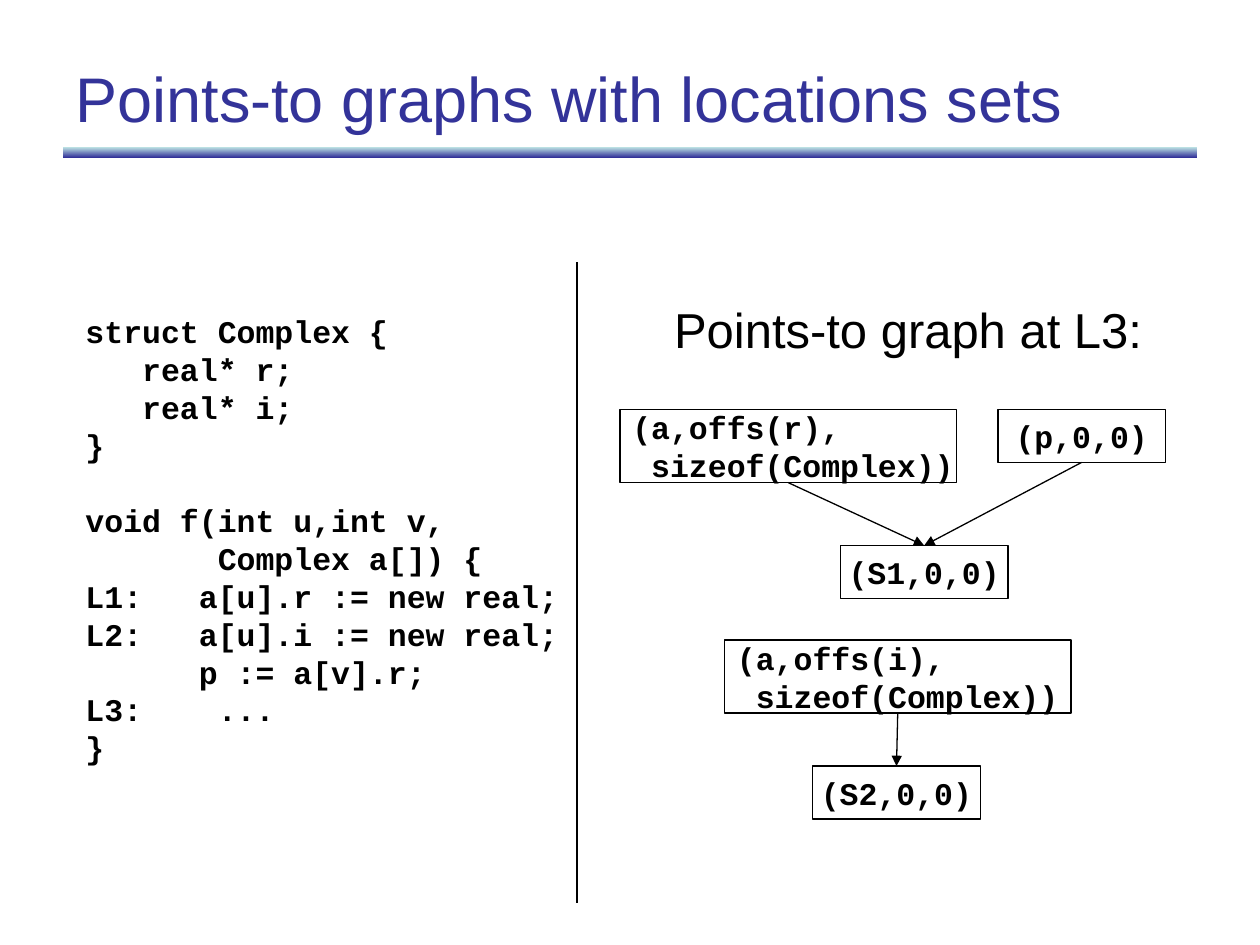
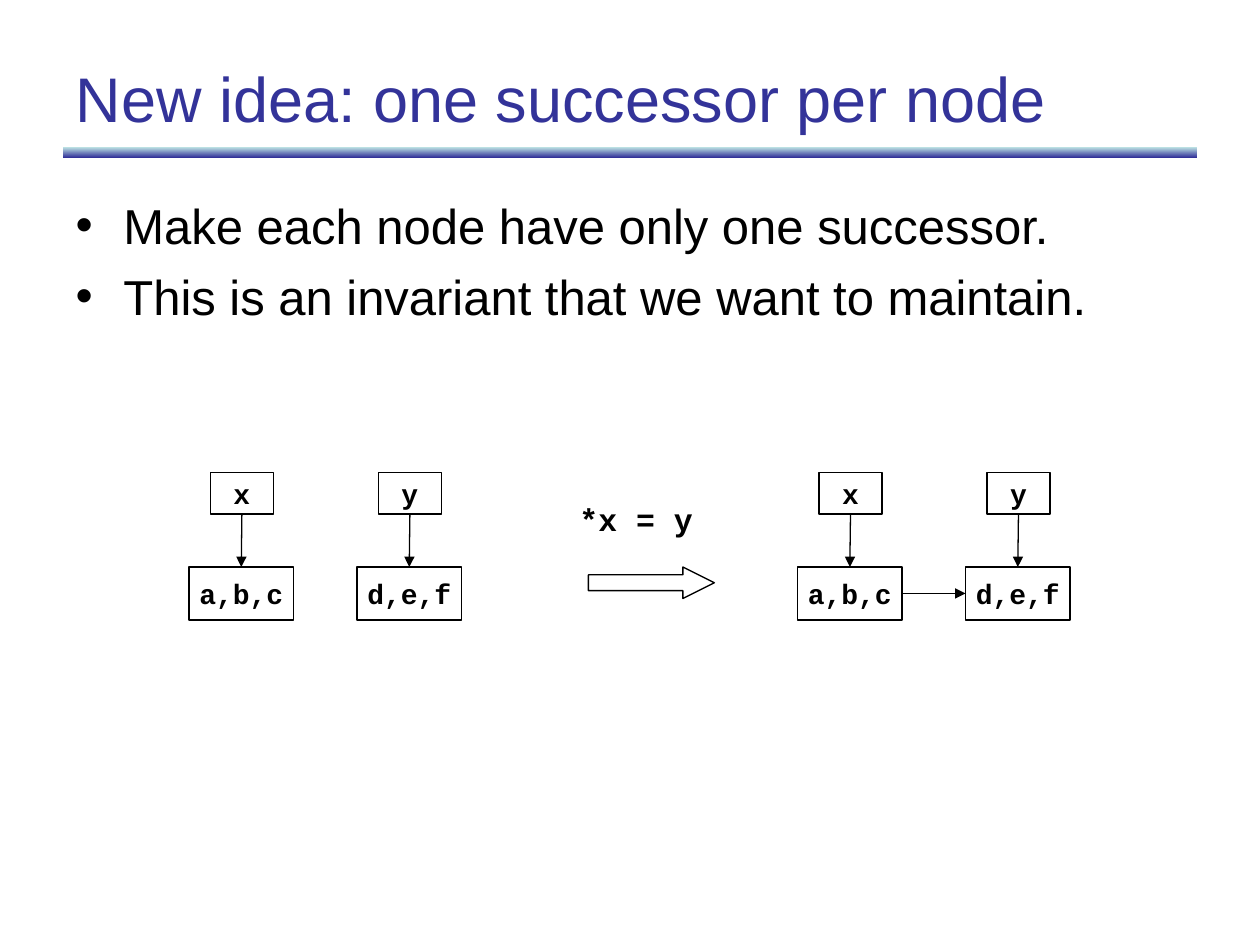
from lxml import etree
from pptx import Presentation
from pptx import util as u
from pptx.dml.color import RGBColor
from pptx.enum import shapes, text
from pptx.oxml.ns import qn

INK, TITLE, BAND_TOP = "000000", "333399", "BBE0E3"
SANS, MONO = "Arial", "Courier New"
CODE_SIZE = 18
CHAR = 0.15  # width of one code character in inches
LINE_HEIGHT = 1.2
TOP, LEFT, BOTTOM, RIGHT = range(4)

# (label, indent in characters, code, starts a new block)
CODE = [
    ("", 0, "struct Complex {", False),
    ("", 3, "real* r;", False),
    ("", 3, "real* i;", False),
    ("", 0, "}", False),
    ("", 0, "void f(int u,int v,", True),
    ("", 7, "Complex a[]) {", False),
    ("L1:", 6, "a[u].r := new real;", False),
    ("L2:", 6, "a[u].i := new real;", False),
    ("", 6, "p := a[v].r;", False),
    ("L3:", 7, "...", False),
    ("", 0, "}", False),
]


def rgb(value):
    return RGBColor.from_string(value)


def place(sp, left, top, width, height):
    sp.left, sp.top = u.Inches(left), u.Inches(top)
    sp.width, sp.height = u.Inches(width), u.Inches(height)


def indent(p, margin, first=0.0):
    pPr = p._p.get_or_add_pPr()
    pPr.set("marL", str(u.Inches(margin)))
    pPr.set("indent", str(u.Inches(first)))


def write(tf, lines, size=CODE_SIZE, font=MONO, color=INK, bold=True,
          align=text.PP_ALIGN.LEFT, before=0, wrap=False):
    """Fill a text frame with one paragraph per line and return the paragraphs."""
    tf.auto_size = text.MSO_AUTO_SIZE.NONE
    tf.word_wrap = wrap
    for i, line in enumerate(lines):
        p = tf.add_paragraph() if i else tf.paragraphs[0]
        p.alignment = align
        p.line_spacing = u.Pt(size * LINE_HEIGHT)
        p.space_before = u.Pt(before)
        r = p.add_run()
        r.text = line
        r.font.size, r.font.name, r.font.bold = u.Pt(size), font, bold
        r.font.color.rgb = rgb(color)
    return tf.paragraphs


def outline(sp):
    sp.shadow.inherit = False
    sp.fill.background()
    sp.line.color.rgb = rgb(INK)
    sp.line.width = u.Pt(0.75)


def add_node(s, left, top, width, height, *lines, size=CODE_SIZE):
    sp = s.shapes.add_shape(shapes.MSO_SHAPE.RECTANGLE, u.Inches(left),
                            u.Inches(top), u.Inches(width), u.Inches(height))
    outline(sp)
    sp.text_frame.vertical_anchor = text.MSO_ANCHOR.MIDDLE
    align = text.PP_ALIGN.LEFT if len(lines) > 1 else text.PP_ALIGN.CENTER
    write(sp.text_frame, lines, size=size, align=align)
    return sp


def add_line(s, x1=0, y1=0, x2=0, y2=0):
    line = s.shapes.add_connector(shapes.MSO_CONNECTOR.STRAIGHT, u.Inches(x1),
                                  u.Inches(y1), u.Inches(x2), u.Inches(y2))
    line.line.color.rgb = rgb(INK)
    line.line.width = u.Pt(0.75)
    etree.SubElement(line._element.spPr, qn("a:effectLst"))
    return line


def add_arrow(s, source, target, start=BOTTOM, end=TOP):
    line = add_line(s)
    line.begin_connect(source, start)
    line.end_connect(target, end)
    etree.SubElement(line.line._get_or_add_ln(), qn("a:tailEnd"), type="triangle")


def add_text(s, left, top, width, height, lines):
    tb = s.shapes.add_textbox(u.Inches(left), u.Inches(top),
                              u.Inches(width), u.Inches(height))
    return write(tb.text_frame, lines)


def style_layout(prs, layout):
    """Give the layout its title position and the gradient band below it."""
    title = layout.placeholders[0]
    place(title, 0.5, 0.3, 9, 0.95)
    title.text_frame.vertical_anchor = text.MSO_ANCHOR.MIDDLE
    s = prs.slides.add_slide(layout)
    band = s.shapes.add_shape(shapes.MSO_SHAPE.RECTANGLE, u.Inches(0.5),
                              u.Inches(1.17), u.Inches(9), u.Inches(0.08))
    band.shadow.inherit = False
    band.line.fill.background()
    band.fill.gradient()
    band.fill.gradient_angle = 270
    for stop, color in zip(band.fill.gradient_stops, (BAND_TOP, TITLE)):
        stop.color.rgb = rgb(color)
    layout.shapes.element.insert(2, band._element)
    return s


def fill_placeholders(s, title, body, at, bullets):
    write(s.shapes.title.text_frame, [title], size=36, font=SANS, color=TITLE,
          bold=False, wrap=True)
    ph = s.placeholders[1]
    place(ph, *at)
    for p in write(ph.text_frame, body, size=28, font=SANS, bold=False,
                   before=7, wrap=True):
        if bullets:
            indent(p, 0.38, -0.38)
        else:
            indent(p, 0)
            etree.SubElement(p._p.get_or_add_pPr(), qn("a:buNone"))


def add_code(s):
    lines = [f"{label}\t{code}" if label else code for label, _, code, _ in CODE]
    paragraphs = add_text(s, 0.58, 2.43, 3.95, 3.7, lines)
    for p, (label, chars, _, new_block) in zip(paragraphs, CODE):
        margin = chars * CHAR
        indent(p, margin, -margin if label else 0)
        if new_block:
            p.space_before = u.Pt(CODE_SIZE * LINE_HEIGHT)


def add_location_graph(s):
    p_node = add_node(s, 7.92, 3.25, 1.33, 0.42, "(p,0,0)")
    r_node = add_node(s, 4.92, 3.25, 2.67, 0.58, "(a,offs(r),", " sizeof(Complex))")
    s1 = add_node(s, 6.67, 4.33, 1.33, 0.42, "(S1,0,0)")
    i_node = add_node(s, 5.75, 5.08, 2.75, 0.58, "(a,offs(i),", " sizeof(Complex))")
    s2 = add_node(s, 6.45, 6.08, 1.33, 0.42, "(S2,0,0)")
    for source, target in ((p_node, s1), (r_node, s1), (i_node, s2)):
        add_arrow(s, source, target)


def add_successors(s, left):
    """Draw x and y above their successor nodes and return the two successors."""
    successors = []
    for i, (name, members) in enumerate((("x", "a,b,c"), ("y", "d,e,f"))):
        x = left + i * 4 / 3
        variable = add_node(s, x + 0.17, 3.75, 0.5, 0.33, name, size=16)
        successor = add_node(s, x, 4.5, 0.83, 0.42, members, size=16)
        add_arrow(s, variable, successor)
        successors.append(successor)
    return successors


def add_assignment(s):
    add_text(s, 4.5, 3.92, 1.1, 0.4, ["*x = y"])
    arrow = s.shapes.add_shape(shapes.MSO_SHAPE.RIGHT_ARROW, u.Inches(4.67),
                               u.Inches(4.5), u.Inches(1), u.Inches(0.25))
    arrow.adjustments[0], arrow.adjustments[1] = 0.5, 1
    outline(arrow)


def main():
    prs = Presentation()
    prs.slide_width, prs.slide_height = u.Inches(10), u.Inches(7.5)
    layout = prs.slide_layouts[1]

    s = style_layout(prs, layout)
    fill_placeholders(s, "Points-to graphs with locations sets",
                      ["Points-to graph at L3:"], (5.25, 2.33, 4.58, 0.58), False)
    add_code(s)
    add_location_graph(s)
    add_line(s, 4.58, 2.08, 4.58, 7.17)

    s = prs.slides.add_slide(layout)
    fill_placeholders(s, "New idea: one successor per node",
                      ["Make each node have only one successor.",
                       "This is an invariant that we want to maintain."],
                      (0.5, 1.5, 9, 1.4), True)
    add_successors(s, 1.5)
    add_assignment(s)
    abc, def_node = add_successors(s, 6.33)
    add_arrow(s, abc, def_node, RIGHT, LEFT)

    prs.save("out.pptx")


if __name__ == "__main__":
    main()
